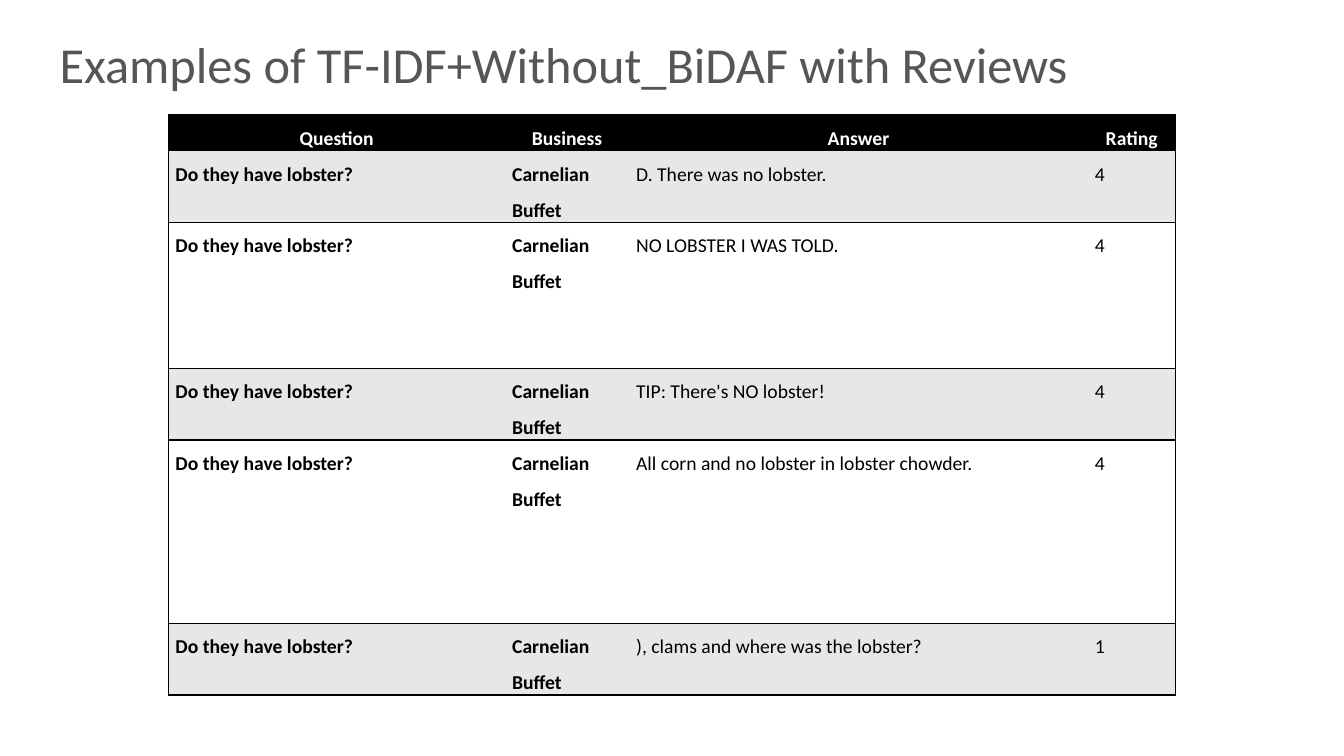
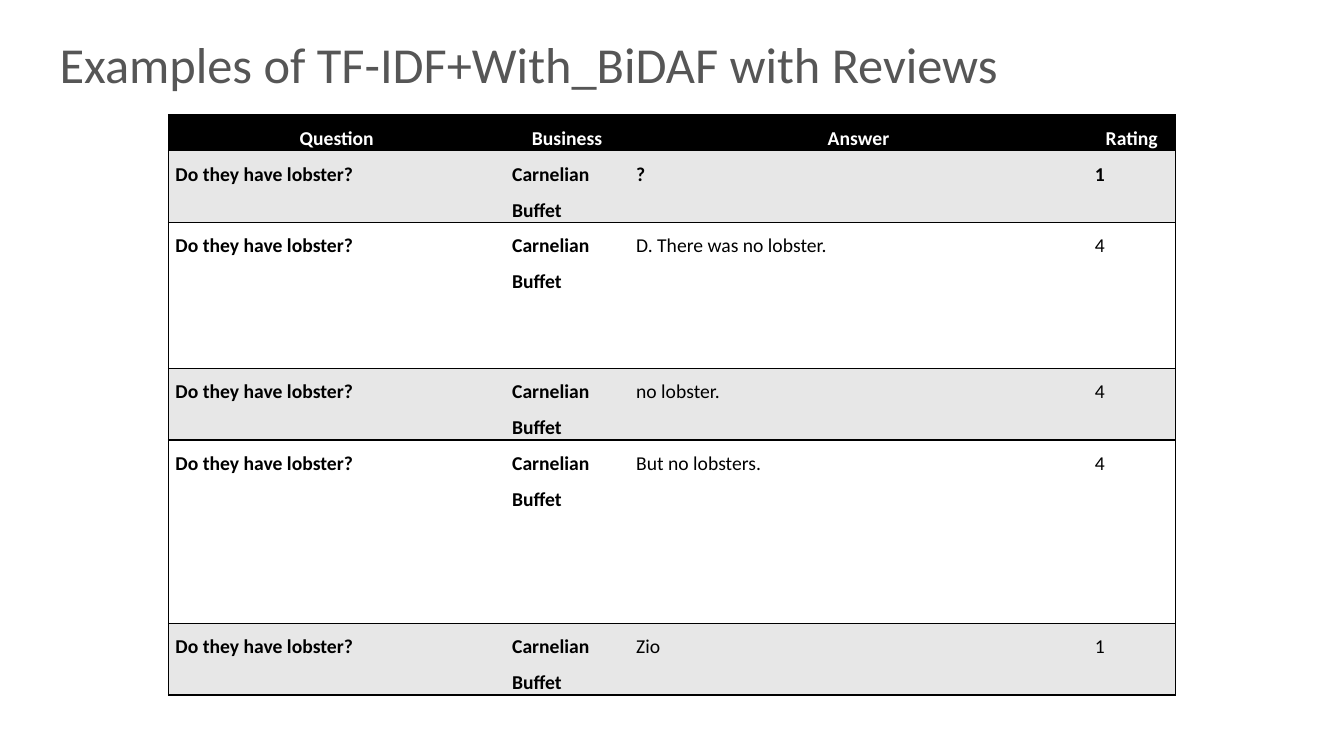
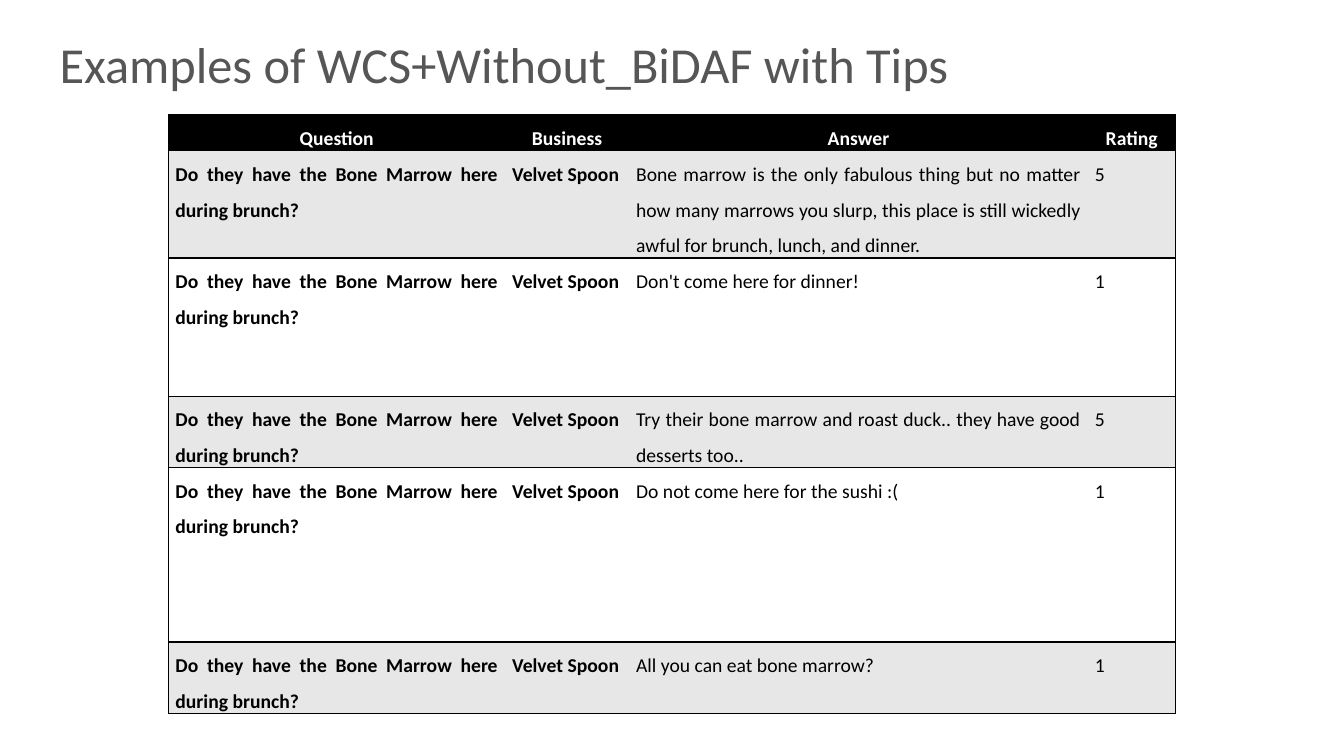
from lxml import etree
from pptx import Presentation
from pptx import util as u
from pptx.dml.color import RGBColor
from pptx.enum import text
from pptx.oxml import ns

HUES = {"title": "565656", "dark": "000000", "light": "FFFFFF", "band": "E7E7E7"}
FONT = "Calibri"
HEADS = ["Question", "Business", "Answer", "Rating"]
WIDTHS = [3.34, 1.23, 4.55, 0.87]
LOBSTER = ["Do they have lobster?", "Carnelian Buffet"]
MARROW = ["Do they have the Bone Marrow here during brunch?", "Velvet Spoon"]
TALL = [0.33, 0.7, 1.45, 0.7, 1.82, 0.7]
LONG = [0.33, 0.96, 1.37, 0.67, 1.73, 0.67]

SLIDES = [
    ("Examples of TF-IDF+Without_BiDAF with Reviews", LOBSTER, TALL, [
        ("D. There was no lobster.", "4"),
        ("NO LOBSTER I WAS TOLD.", "4"),
        ("TIP: There's NO lobster!", "4"),
        ("All corn and no lobster in lobster chowder.", "4"),
        ("), clams and where was the lobster?", "1"),
    ]),
    ("Examples of TF-IDF+With_BiDAF with Reviews", LOBSTER, TALL, [
        ("?", "1"),
        ("D. There was no lobster.", "4"),
        ("no lobster.", "4"),
        ("But no lobsters.", "4"),
        ("Zio", "1"),
    ]),
    ("Examples of WCS+Without_BiDAF with Tips", MARROW, LONG, [
        ("Bone marrow is the only fabulous thing but no matter how many marrows "
         "you slurp, this place is still wickedly awful for brunch, lunch, and dinner.", "5"),
        ("Don't come here for dinner!", "1"),
        ("Try their bone marrow and roast duck.. they have good desserts too..", "5"),
        ("Do not come here for the sushi :(", "1"),
        ("All you can eat bone marrow?", "1"),
    ]),
]


def write(para, words, size, hue, bold=False):
    run = para.add_run()
    run.text = words
    run.font.name = FONT
    run.font.size = u.Pt(size)
    run.font.bold = bold
    run.font.color.rgb = RGBColor.from_string(HUES[hue])


def edge(cell, sides):
    props = cell._tc.get_or_add_tcPr()
    for side in "LRTB":
        line = etree.SubElement(props, ns.qn(f"a:ln{side}"), w=str(u.Pt(1)))
        if side in sides:
            fill = etree.SubElement(line, ns.qn("a:solidFill"))
            etree.SubElement(fill, ns.qn("a:srgbClr"), val=HUES["dark"])
        else:
            etree.SubElement(line, ns.qn("a:noFill"))


deck = Presentation()
deck.slide_width = u.Inches(13.33)
deck.slide_height = u.Inches(7.5)

for name, topic, highs, finds in SLIDES:
    slide = deck.slides.add_slide(deck.slide_layouts[5])
    title = slide.shapes.title
    title.left, title.top = u.Inches(0.49), u.Inches(0.28)
    title.width, title.height = u.Inches(11.11), u.Inches(0.71)
    frame = title.text_frame
    frame.word_wrap = True
    frame.auto_size = text.MSO_AUTO_SIZE.NONE
    frame.vertical_anchor = text.MSO_ANCHOR.TOP
    frame.paragraphs[0].alignment = text.PP_ALIGN.LEFT
    write(frame.paragraphs[0], name, 36, "title")

    rows = [HEADS] + [topic + list(find) for find in finds]
    grid = slide.shapes.add_table(
        len(rows), len(HEADS), u.Inches(1.67), u.Inches(1.14),
        u.Inches(sum(WIDTHS)), u.Inches(sum(highs))).table
    grid.first_row = grid.horz_banding = False
    for col, wide in zip(grid.columns, WIDTHS):
        col.width = u.Inches(wide)
    for r, row in enumerate(rows):
        grid.rows[r].height = u.Inches(highs[r])
        head = r == 0
        back = "dark" if head else "band" if r % 2 else "light"
        for c, words in enumerate(row):
            cell = grid.cell(r, c)
            edge(cell, "TB" + {0: "L", 3: "R"}.get(c, ""))
            cell.fill.solid()
            cell.fill.fore_color.rgb = RGBColor.from_string(HUES[back])
            cell.margin_left = cell.margin_right = u.Inches(0.07)
            cell.margin_top = cell.margin_bottom = 0
            para = cell.text_frame.paragraphs[0]
            para.alignment = text.PP_ALIGN.CENTER if head else text.PP_ALIGN.JUSTIFY
            para.line_spacing = 1.5
            para.space_after = u.Pt(3 if head or c != 2 else 0)
            bold = head or c < 2 or row[2] == "?"
            write(para, words, 14, "light" if head else "dark", bold)

deck.save("out.pptx")
